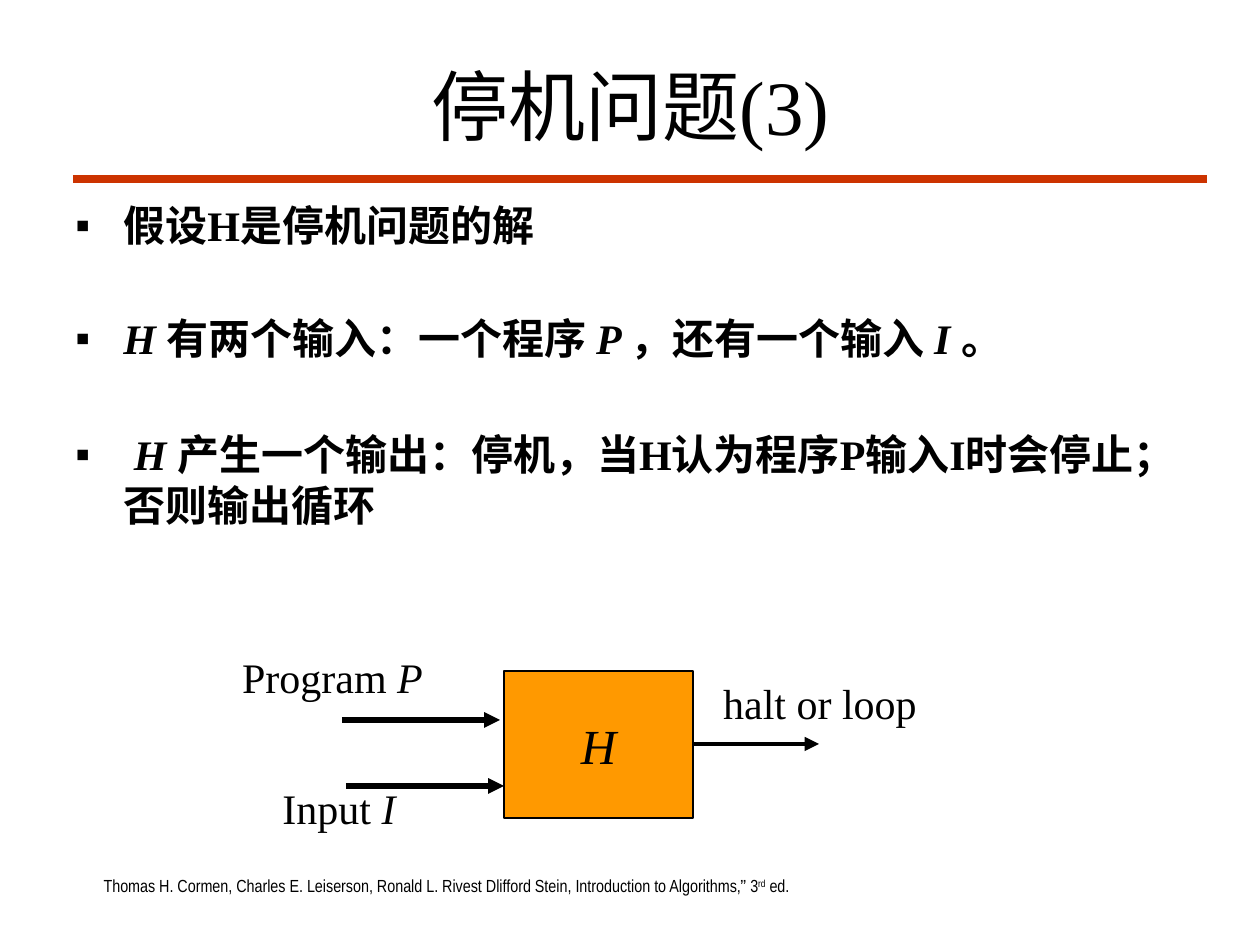
from pptx import Presentation
from pptx.dml.color import RGBColor
from pptx.enum.shapes import MSO_CONNECTOR, MSO_SHAPE
from pptx.enum.text import MSO_ANCHOR, PP_ALIGN
from pptx.oxml.ns import qn
from pptx.util import Emu, Pt
from lxml.etree import SubElement

PX = 914400 // 126
COLORS = {"text": "000000", "rule": "CC3300", "box": "FF9900"}
SERIF, NARROW, SANS = "Times New Roman", "Arial Narrow", "Arial"
ITALIC = {"italic": True}


def px(*values):
    return [Emu(v * PX) for v in values]


def color(name):
    return RGBColor.from_string(COLORS[name])


class Slide:
    def __init__(self, prs):
        self.s = prs.slides.add_slide(prs.slide_layouts[6])

    def runs(self, p, runs, **font):
        for text, extra in runs:
            r = p.add_run()
            r.text = text
            r.font.color.rgb = color("text")
            style = {"name": SERIF, **font, **extra}
            baseline = style.pop("baseline", None)
            for key, value in style.items():
                setattr(r.font, key, value)
            if baseline:
                r._r.get_or_add_rPr().set("baseline", str(baseline))

    def text(self, box, runs, size, anchor=MSO_ANCHOR.TOP, wrap=True, **font):
        tf = self.s.shapes.add_textbox(*px(*box)).text_frame
        tf.word_wrap, tf.vertical_anchor = wrap, anchor
        p = tf.paragraphs[0]
        p.alignment = PP_ALIGN.CENTER
        self.runs(p, runs, size=Pt(size), **font)

    def bullets(self, box, items, size):
        tf = self.s.shapes.add_textbox(*px(*box)).text_frame
        tf.word_wrap = True
        for i, (runs, fmt) in enumerate(items):
            p = tf.add_paragraph() if i else tf.paragraphs[0]
            for key, value in fmt.items():
                setattr(p, key, value)
            pPr = p._p.get_or_add_pPr()
            indent = 48 * PX
            pPr.set("marL", str(indent))
            pPr.set("indent", str(-indent))
            SubElement(pPr, qn("a:buFont"), typeface=SANS)
            SubElement(pPr, qn("a:buChar"), char="▪")
            self.runs(p, runs, size=Pt(size), bold=True)

    def box(self, box, runs, size):
        sp = self.s.shapes.add_shape(MSO_SHAPE.RECTANGLE, *px(*box))
        sp.shadow.inherit = False
        sp.fill.solid()
        sp.fill.fore_color.rgb = color("box")
        sp.line.color.rgb = color("text")
        sp.line.width = Pt(0.75)
        tf = sp.text_frame
        tf.word_wrap, tf.vertical_anchor = False, MSO_ANCHOR.MIDDLE
        p = tf.paragraphs[0]
        p.alignment = PP_ALIGN.CENTER
        self.runs(p, runs, size=Pt(size))

    def line(self, x1, x2, y, width, name="text", arrow=True):
        c = self.s.shapes.add_connector(MSO_CONNECTOR.STRAIGHT, *px(x1, y, x2, y))
        c.line.color.rgb = color(name)
        c.line.width = Pt(width)
        spPr = c._element.spPr
        if arrow:
            SubElement(spPr.get_or_add_ln(), qn("a:tailEnd"), type="triangle")
        SubElement(spPr, qn("a:effectLst"))


prs = Presentation()
prs.slide_width, prs.slide_height = px(1260, 945)
slide = Slide(prs)

slide.line(73, 1207, 179, 4.5, "rule", arrow=False)
slide.text((84, 869, 725, 42), [
    ("Thomas H. Cormen, Charles E. Leiserson, Ronald L. Rivest Dlifford Stein, "
     "Introduction to Algorithms,", {}),
    ("”", {"name": SANS}),
    (" 3", {}),
    ("rd", {"baseline": 30000}),
    (" ed.", {}),
], 10, name=NARROW)
slide.text((95, 42, 1071, 126), [("停机问题(3)", {})], 44, MSO_ANCHOR.MIDDLE)
slide.bullets((63, 199, 1144, 353), [
    ([("假设H是停机问题的解", {})], {"line_spacing": 0.9, "space_before": Pt(5)}),
    ([("H ", ITALIC), ("有两个输入：一个程序 ", {}), ("P ", ITALIC),
      ("，还有一个输入 ", {}), ("I ", ITALIC), ("。", {})], {"space_before": Pt(35.5)}),
    ([(" H ", ITALIC), ("产生一个输出：停机，当H认为程序P输入I时会停止；否则输出循环", {})],
     {"space_before": Pt(37.5)}),
], 24)

slide.box((504, 671, 189, 147), [("H", ITALIC)], 28)
for x1, x2, y, width in [(342, 500, 720, 3), (346, 504, 786, 3), (693, 819, 744, 2.75)]:
    slide.line(x1, x2, y, width)
for box, runs in [
    ((221, 645, 223, 63), [("Program ", {}), ("P", ITALIC)]),
    ((262, 776, 154, 63), [("Input ", {}), ("I", ITALIC)]),
    ((703, 671, 234, 63), [("halt or loop", {})]),
]:
    slide.text(box, runs, 24, wrap=False)

prs.save("out.pptx")
